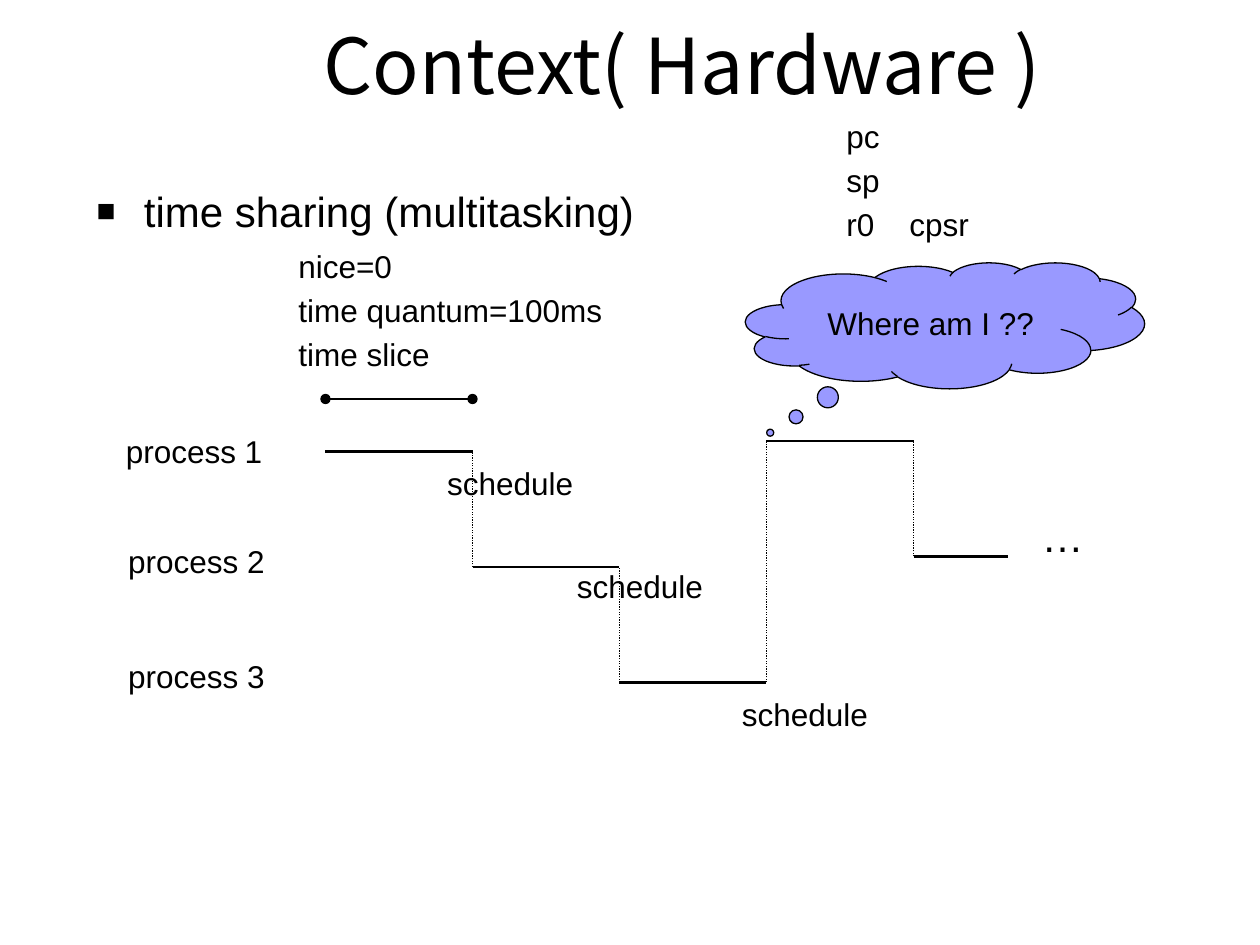
import pptx
import pptx.util
import pptx.dml.color
import pptx.enum.dml
import pptx.enum.shapes
import pptx.enum.text
import pptx.oxml
import pptx.oxml.ns
from lxml import etree

Pt = pptx.util.Pt
RGBColor = pptx.dml.color.RGBColor
ANCHOR = pptx.enum.text.MSO_ANCHOR
ALIGN = pptx.enum.text.PP_ALIGN
FIT = pptx.enum.text.MSO_AUTO_SIZE
DASH = pptx.enum.dml.MSO_LINE

BLACK = RGBColor(0, 0, 0)
CLOUD_FILL = RGBColor(0x99, 0x99, 0xFF)

TITLE = ("Context( Hardware )", (11.5, 11.5, 756.7, 49.7))
HEADING = ("time sharing (multitasking)", (48.2, 102.2, 648, 41.8))
THOUGHT = ("Where am I ??", (426, 150, 228, 72))
THOUGHT_TAIL = (-0.438, 0.851)
LABELS = [
    (["process 1"], (64.8, 243.4, 92.9, 28.8), 18),
    (["process 2"], (66.2, 306, 92.9, 28.8), 18),
    (["process 3"], (66.2, 372, 92.9, 28.8), 18),
    (["nice=0", "time quantum=100ms", "time slice"], (163.4, 137.5, 198, 81.4), 18),
    (["…"], (588.2, 288, 32.4, 36.7), 24),
    (["schedule"], (248.4, 261.4, 87.1, 28.8), 18),
    (["schedule"], (322.6, 320.4, 87.1, 28.8), 18),
    (["schedule"], (416.9, 393.8, 87.1, 28.8), 18),
    (["pc", "sp", "r0\tcpsr"], (476.6, 63.4, 90.7, 81.4), 18),
]
TAB_STOP = 36
RUN_LEVELS = [258, 324, 390, 252, 318]
SLICE, START, END = 84, 186, 576
QUANTUM_LEVEL = 228


def add_xml(parent, tag, **attributes):
    child = etree.SubElement(parent, pptx.oxml.ns.qn(tag))
    for name, value in attributes.items():
        child.set(name, str(value))
    return child


def apply(target, values):
    for name, value in values.items():
        setattr(target, name, value)


def write(box, lines, size, frame_format, font="Arial", align=ALIGN.LEFT, spaced=True):
    frame = box.text_frame
    apply(frame, frame_format)
    for index, line in enumerate(lines):
        para = frame.paragraphs[0] if index == 0 else frame.add_paragraph()
        para.alignment = align
        properties = para._p.get_or_add_pPr()
        if spaced:
            add_xml(add_xml(properties, "a:spcBef"), "a:spcPct", val=20000)
        if "\t" in line:
            add_xml(add_xml(properties, "a:tabLst"), "a:tab", pos=Pt(TAB_STOP), algn="l")
        span = para.add_run()
        span.text = line
        apply(span.font, {"name": font, "size": Pt(size)})
        span.font.color.rgb = BLACK
        east_asian = add_xml(span.font._element, "a:ea", typeface=font)
        span.font._element.find(pptx.oxml.ns.qn("a:latin")).addnext(east_asian)


def add_text(page, place, *content, **options):
    box = page.shapes.add_textbox(*map(Pt, place))
    write(box, *content, **options)
    return box


def add_line(page, x1, y1, x2, y2, width, dash=None, ends=None):
    line = page.shapes.add_connector(
        pptx.enum.shapes.MSO_CONNECTOR.STRAIGHT, *map(Pt, (x1, y1, x2, y2)))
    line.line.color.rgb = BLACK
    line.line.width = Pt(width)
    if dash:
        line.line.dash_style = dash
    if ends:
        for tag in ("a:headEnd", "a:tailEnd"):
            add_xml(line.line._get_or_add_ln(), tag, type=ends)
    add_xml(line._element.spPr, "a:effectLst")


def add_heading(page):
    text, place = HEADING
    box = add_text(page, place, [text], 24, {"word_wrap": True})
    properties = box.text_frame.paragraphs[0]._p.get_or_add_pPr()
    properties.set("marL", str(Pt(27)))
    properties.set("indent", str(-Pt(27)))
    add_xml(add_xml(properties, "a:buClr"), "a:srgbClr", val=BLACK)
    add_xml(properties, "a:buSzPct", val=75000)
    add_xml(properties, "a:buFont", typeface="Arial")
    add_xml(properties, "a:buChar", char="■")


def add_timeline(page):
    add_line(page, START, QUANTUM_LEVEL, START + SLICE, QUANTUM_LEVEL, 0.75, ends="oval")
    for index, level in enumerate(RUN_LEVELS):
        left = START + index * SLICE
        add_line(page, left, level, min(left + SLICE, END), level, 1.5)
        if index:
            previous = RUN_LEVELS[index - 1]
            add_line(page, left, max(level, previous), left, min(level, previous),
                     0.75, dash=DASH.ROUND_DOT)


def add_thought(page):
    text, place = THOUGHT
    cloud = page.shapes.add_shape(
        pptx.enum.shapes.MSO_SHAPE.CLOUD_CALLOUT, *map(Pt, place))
    for index, value in enumerate(THOUGHT_TAIL):
        cloud.adjustments[index] = value
    cloud.shadow.inherit = False
    cloud.fill.solid()
    cloud.fill.fore_color.rgb = CLOUD_FILL
    cloud.line.color.rgb = BLACK
    cloud.line.width = Pt(0.75)
    write(cloud, [text], 18, {"word_wrap": False, "vertical_anchor": ANCHOR.MIDDLE},
          align=ALIGN.CENTER)


def main():
    deck = pptx.Presentation()
    apply(deck, {"slide_width": Pt(720), "slide_height": Pt(540)})
    page = deck.slides.add_slide(deck.slide_layouts[6])
    title, place = TITLE
    add_text(page, place, [title], 44,
             {"word_wrap": True, "vertical_anchor": ANCHOR.MIDDLE},
             font="Noto Sans CJK KR", align=ALIGN.CENTER, spaced=False)
    add_heading(page)
    add_timeline(page)
    add_thought(page)
    for lines, place, size in LABELS:
        add_text(page, place, lines, size,
                 {"word_wrap": False, "auto_size": FIT.SHAPE_TO_FIT_TEXT})
    deck.save("out.pptx")


if __name__ == "__main__":
    main()
